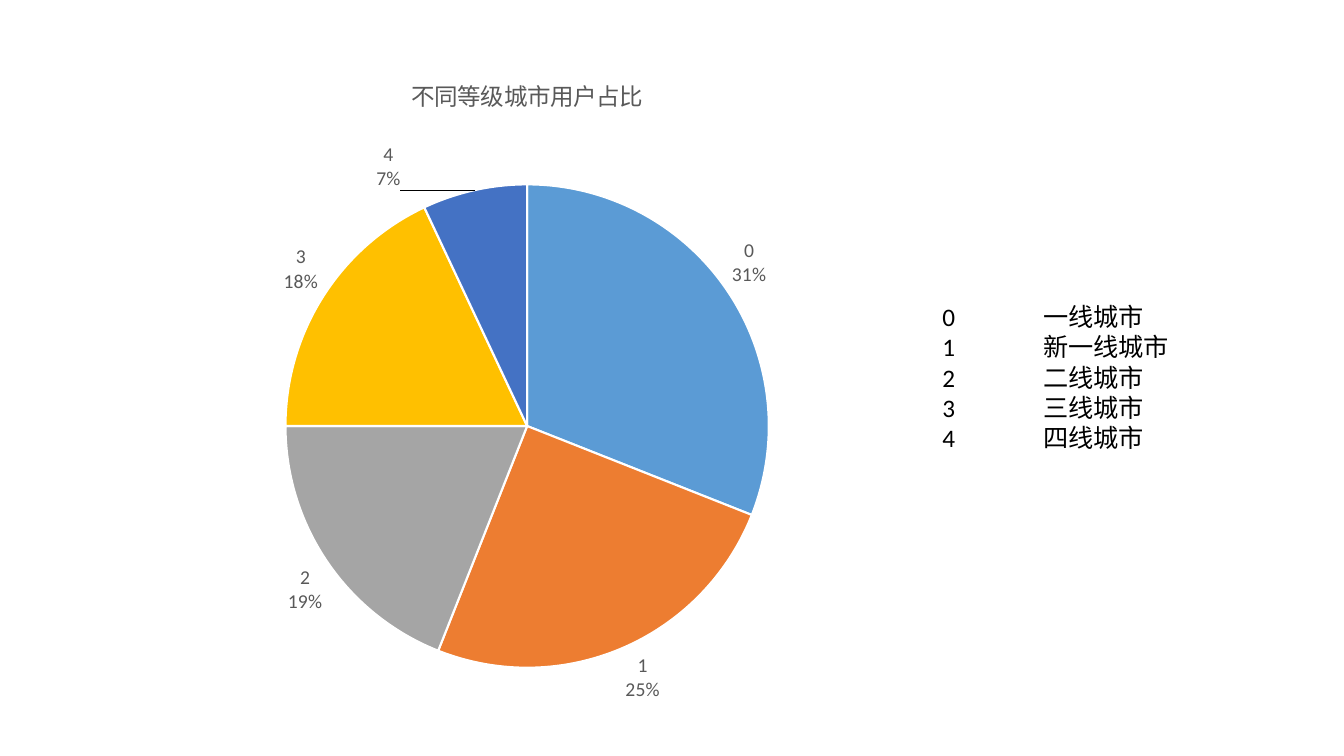
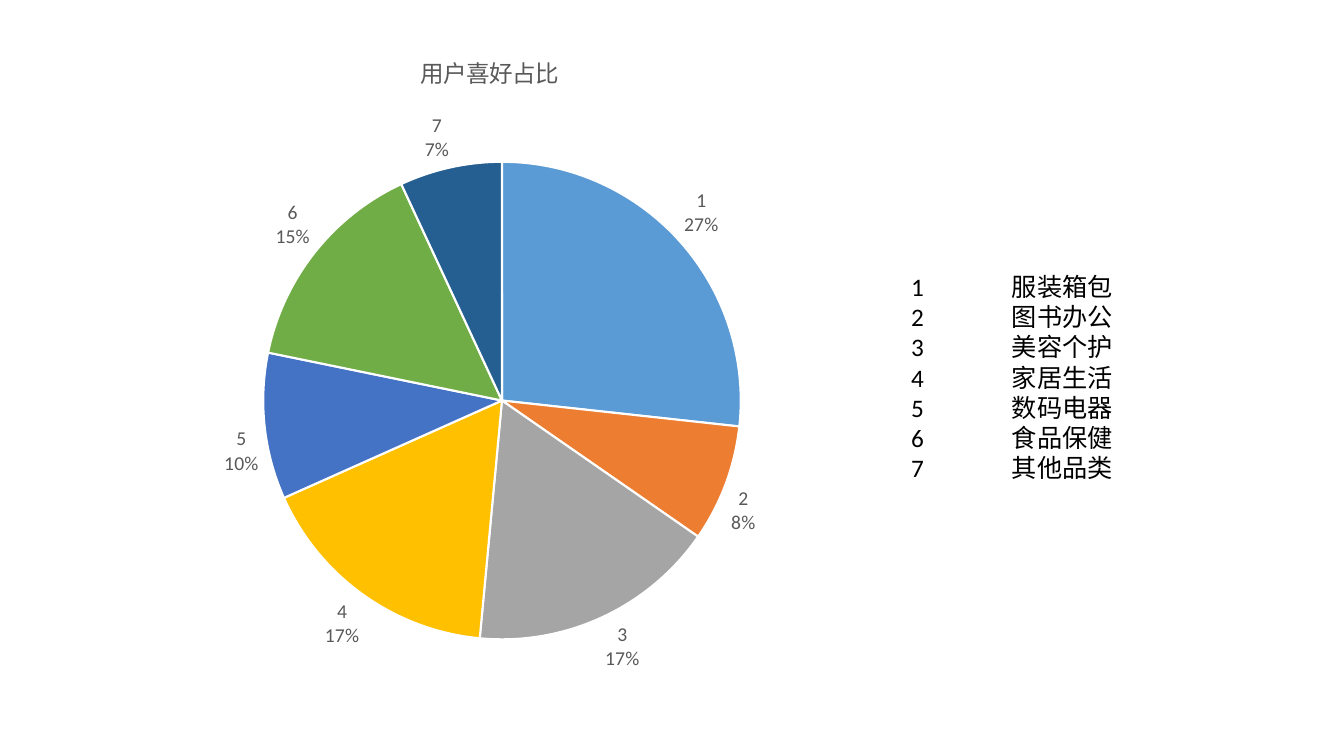
import pptx
import pptx.chart.data
import pptx.dml.color
import pptx.enum.chart
import pptx.enum.text
import pptx.oxml
import pptx.oxml.ns
import pptx.util

Cm = pptx.util.Cm
Pt = pptx.util.Pt
qn = pptx.oxml.ns.qn

HUES = {
    "text": "000000",
    "label": "595959",
    "edge": "FFFFFF",
    "blue": "5B9BD5",
    "orange": "ED7D31",
    "gray": "A5A5A5",
    "gold": "FFC000",
    "royal": "4472C4",
    "green": "70AD47",
    "navy": "255E91",
}
SLICES = ["blue", "orange", "gray", "gold", "royal", "green", "navy"]


def hue(name):
    return pptx.dml.color.RGBColor.from_string(HUES[name])


def layout(**parts):
    ns = pptx.oxml.ns.nsdecls("c")
    body = "".join(f'<c:{key} val="{val}"/>' for key, val in parts.items())
    return pptx.oxml.parse_xml(
        f"<c:layout {ns}><c:manualLayout>{body}</c:manualLayout></c:layout>")


class Deck:
    face = "Calibri"
    tab = Cm(2.54)

    def __init__(self):
        self.prs = pptx.Presentation()
        self.prs.slide_width = Cm(33.87)
        self.prs.slide_height = Cm(19.05)
        self.slide = None

    def page(self):
        self.slide = self.prs.slides.add_slide(self.prs.slide_layouts[6])

    def style(self, font, size, color):
        font.name = self.face
        font.size = Pt(size)
        font.bold = False
        font.color.rgb = hue(color)

    def pie(self, box, title, cats, vals, left, width):
        data = pptx.chart.data.CategoryChartData()
        data.categories = cats
        data.add_series(title, vals)
        kind = pptx.enum.chart.XL_CHART_TYPE.PIE
        frame = self.slide.shapes.add_chart(kind, *map(Cm, box), data)
        chart = frame.chart
        self.style(chart.font, 14, "text")
        chart.has_legend = False
        chart.has_title = True
        head = chart.chart_title
        head.include_in_layout = False
        run = head.text_frame.paragraphs[0].add_run()
        run.text = title
        self.style(run.font, 16.8, "label")

        plot = chart.plots[0]
        plot.vary_by_categories = True
        area = plot._element.getparent()
        for old in area.findall(qn("c:layout")):
            area.remove(old)
        area.insert(0, layout(layoutTarget="inner", xMode="edge", yMode="edge",
                              x=left, y=0.19, w=width, h=0.73))
        series = plot.series[0]
        for num, name in enumerate(SLICES[:len(cats)]):
            form = series.points[num].format
            form.fill.solid()
            form.fill.fore_color.rgb = hue(name)
            form.line.color.rgb = hue("edge")
            form.line.width = Pt(1.5)
        self.label(series.data_labels)
        return series

    def label(self, item):
        self.style(item.font, 14, "label")
        item.position = pptx.enum.chart.XL_LABEL_POSITION.OUTSIDE_END
        item.number_format = "0%"
        item.number_format_is_linked = False
        item.show_value = False
        item.show_category_name = True
        item.show_percentage = True
        self.split(item._element)

    def split(self, node):
        ns = pptx.oxml.ns.nsdecls("c")
        mark = pptx.oxml.parse_xml(f"<c:separator {ns}>\n</c:separator>")
        last = [kid for kid in node if kid.tag.startswith(qn("c:show"))
                and kid.tag != qn("c:showLeaderLines")][-1]
        last.addnext(mark)

    def shift(self, series, num, x, y):
        item = series.points[num].data_label
        self.style(item.font, 14, "label")
        item.position = pptx.enum.chart.XL_LABEL_POSITION.OUTSIDE_END
        node = series.data_labels._element.find(qn("c:dLbl"))
        for tag, val in (("Val", 0), ("CatName", 1), ("Percent", 1)):
            node.find(qn("c:show" + tag)).set("val", str(val))
        node.find(qn("c:idx")).addnext(layout(x=x, y=y))
        self.split(node)

    def key(self, box, cats, names):
        shape = self.slide.shapes.add_textbox(*map(Cm, box))
        frame = shape.text_frame
        frame.word_wrap = True
        frame.auto_size = pptx.enum.text.MSO_AUTO_SIZE.SHAPE_TO_FIT_TEXT
        ns = pptx.oxml.ns.nsdecls("a")
        for num, (cat, name) in enumerate(zip(cats, names)):
            para = frame.paragraphs[0] if num == 0 else frame.add_paragraph()
            para._p.get_or_add_pPr().append(pptx.oxml.parse_xml(
                f'<a:tabLst {ns}><a:tab pos="{self.tab}" algn="l"/></a:tabLst>'))
            run = para.add_run()
            run.text = f"{cat}\t{name}"
            self.style(run.font, 18, "text")


def main():
    deck = Deck()

    deck.page()
    cats = ["0", "1", "2", "3", "4", "(空白)"]
    towns = deck.pie((-1.94, 1.32, 30.45, 16.97), "不同等级城市用户占比",
                     cats, [31, 25, 19, 18, 7, None], 0.3, 0.4)
    deck.shift(towns, 4, -0.06, 0.01)
    deck.key((23.5, 7.47, 7.06, 4.09), cats,
             ["一线城市", "新一线城市", "二线城市", "三线城市", "四线城市"])

    deck.page()
    cats = ["1", "2", "3", "4", "5", "6", "7"]
    deck.pie((-3.5, 0.75, 31.67, 16.84), "用户喜好占比",
             cats, [27, 8, 17, 17, 10, 15, 7], 0.32, 0.38)
    deck.key((22.71, 6.71, 7.06, 5.64), cats,
             ["服装箱包", "图书办公", "美容个护", "家居生活",
              "数码电器", "食品保健", "其他品类"])

    deck.prs.save("out.pptx")


if __name__ == "__main__":
    main()
